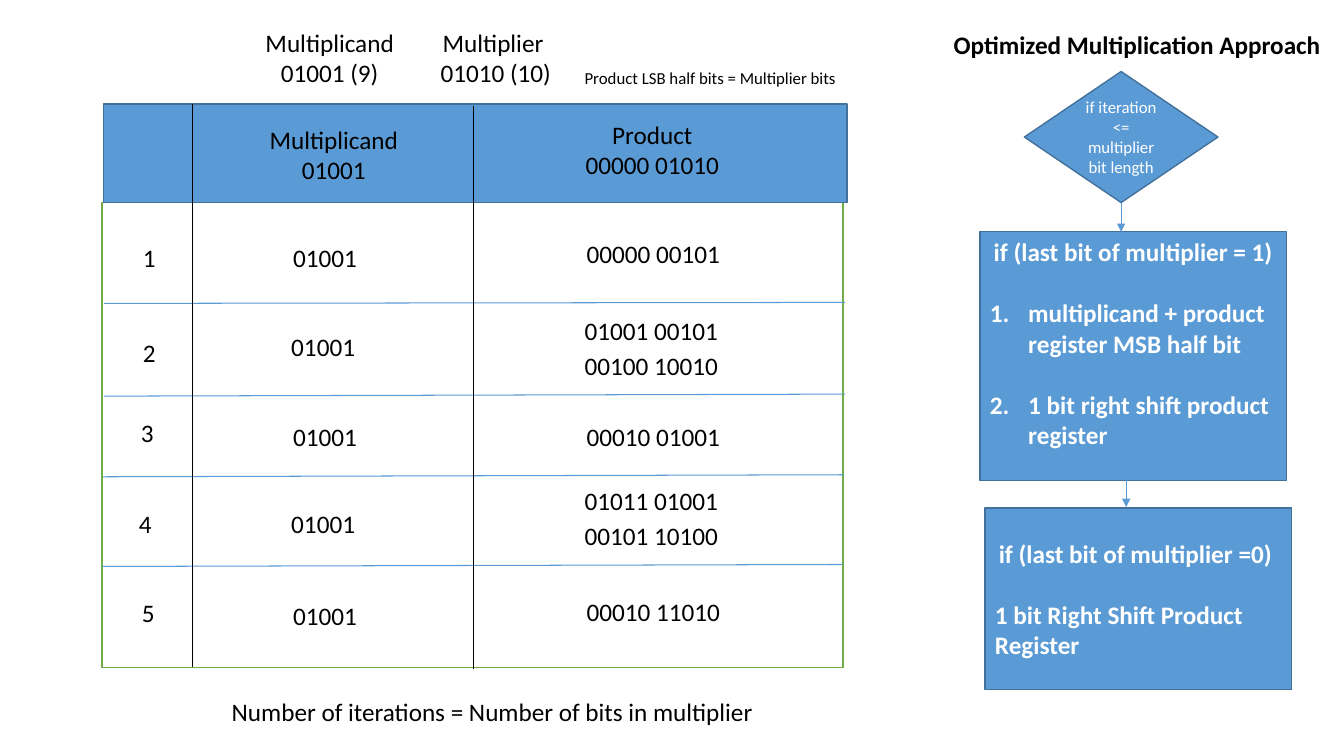
from lxml import etree
from pptx import Presentation
from pptx.dml.color import RGBColor
from pptx.enum.shapes import MSO_CONNECTOR, MSO_SHAPE
from pptx.enum.text import MSO_ANCHOR, PP_ALIGN
from pptx.oxml.ns import qn
from pptx.util import Inches, Pt

BLUE, EDGE, GREEN, BLACK, WHITE = "5B9BD5", "42719B", "70AD47", "000000", "FFFFFF"
LEFT, CENTER = PP_ALIGN.LEFT, PP_ALIGN.CENTER
rgb = RGBColor.from_string

prs = Presentation()
prs.slide_width, prs.slide_height = Inches(13.33), Inches(7.5)
s = prs.slides.add_slide(prs.slide_layouts[6])


def write(tf, lines, size=18, color=BLACK, bold=False):
    """Fill a text frame with (text, alignment) paragraphs."""
    tf.word_wrap = True
    for i, (text, align) in enumerate(lines):
        p = tf.paragraphs[0] if i == 0 else tf.add_paragraph()
        p.alignment = align
        r = p.add_run()
        r.text = text
        r.font.name, r.font.size, r.font.bold = "Calibri", Pt(size), bold
        r.font.color.rgb = rgb(color)


def add_line(x1, y1, x2, y2, color=BLUE, arrow=False):
    c = s.shapes.add_connector(MSO_CONNECTOR.STRAIGHT, Inches(x1), Inches(y1), Inches(x2), Inches(y2))
    c.line.color.rgb = rgb(color)
    c.line.width = Pt(0.75)
    if arrow:
        etree.SubElement(c.line._get_or_add_ln(), qn("a:tailEnd"), type="triangle")
    etree.SubElement(c._element.spPr, qn("a:effectLst"))


# Table frame, table header and flowchart shapes
shapes = []
for kind, x, y, w, h, fill, edge in [
    (MSO_SHAPE.RECTANGLE, 1.01, 2.01, 7.35, 4.61, WHITE, GREEN),
    (MSO_SHAPE.RECTANGLE, 1.03, 1.03, 7.37, 0.98, BLUE, EDGE),
    (MSO_SHAPE.DIAMOND, 10.16, 0.71, 1.92, 1.3, BLUE, EDGE),
    (MSO_SHAPE.RECTANGLE, 9.72, 2.3, 3.04, 2.47, BLUE, EDGE),
    (MSO_SHAPE.RECTANGLE, 9.77, 5.04, 3.04, 1.8, BLUE, EDGE),
]:
    sp = s.shapes.add_shape(kind, Inches(x), Inches(y), Inches(w), Inches(h))
    sp.shadow.inherit = False
    sp.fill.solid()
    sp.fill.fore_color.rgb = rgb(fill)
    sp.line.color.rgb = rgb(edge)
    sp.line.width = Pt(1)
    sp.text_frame.vertical_anchor = MSO_ANCHOR.MIDDLE
    shapes.append(sp)
diamond, one_box, zero_box = shapes[2:]

# Flowchart text
write(diamond.text_frame, [("if iteration <= multiplier bit length", CENTER)], 12, WHITE)
write(one_box.text_frame, [
    ("if (last bit of multiplier = 1)", CENTER),
    ("multiplicand + product register MSB half bit", LEFT),
    ("1 bit right shift product register", LEFT),
], color=WHITE, bold=True)
write(zero_box.text_frame, [
    ("if (last bit of multiplier =0) ", CENTER),
    ("1 bit Right Shift Product Register", LEFT),
], color=WHITE, bold=True)
one_box.text_frame.vertical_anchor = MSO_ANCHOR.TOP
for p in one_box.text_frame.paragraphs[1:]:
    p.space_before = Pt(22)
    pPr = p._p.get_or_add_pPr()
    pPr.set("marL", str(Inches(0.38)))
    pPr.set("indent", str(-Inches(0.38)))
    etree.SubElement(pPr, qn("a:buFont"), typeface="+mj-lt")
    etree.SubElement(pPr, qn("a:buAutoNum"), type="arabicPeriod")
zero_box.text_frame.paragraphs[1].space_before = Pt(22)

# Row rules, column rules and flow arrows
for x, y1, y2 in [(1.03, 3.01, 3), (1.03, 3.93, 3.91), (1.02, 4.73, 4.71), (1.01, 5.62, 5.6)]:
    add_line(x, y1, x + 7.35, y2)
for x, y in [(1.91, 1.03), (4.7, 1.05)]:
    add_line(x, y, x, y + 5.59, BLACK)
for x, y in [(11.12, 2.01), (11.17, 4.74)]:
    add_line(x, y, x, y + 0.29, arrow=True)

# Centred two-line headings
labels = [
    (x, y, 1.62, 0.71, [(top, CENTER), (bottom, CENTER)], 18, False)
    for x, y, top, bottom in [
        (2.46, 0.22, "Multiplicand", "01001 (9)"),
        (4.08, 0.22, "Multiplier", " 01010 (10)"),
        (2.5, 1.18, "Multiplicand", "01001"),
        (5.66, 1.13, "Product", "00000 01010"),
    ]
]

# Single-line captions
labels += [
    (5.7, 0.62, 3.14, 0.3, [("Product LSB half bits = Multiplier bits", LEFT)], 12, False),
    (2.2, 6.86, 5.4, 0.4, [("Number of iterations = Number of bits in multiplier", LEFT)], 18, False),
    (9.36, 0.24, 3.95, 0.4, [("Optimized Multiplication Approach", LEFT)], 18, True),
]

# Iterations: number position, multiplicand position, product values with their tops
iterations = [
    (1.32, 2.36, 2.81, 2.35, 5.72, [(2.32, "00000 00101")]),
    (1.32, 3.3, 2.79, 3.24, 5.7, [(3.08, "01001 00101"), (3.43, "00100 10010")]),
    (1.3, 4.09, 2.81, 4.13, 5.72, [(4.13, "00010 01001")]),
    (1.28, 4.99, 2.79, 4.99, 5.7, [(4.77, "01011 01001"), (5.11, "00101 10100")]),
    (1.31, 5.88, 2.81, 5.91, 5.72, [(5.87, "00010 11010")]),
]
for n, (nx, ny, mx, my, px, products) in enumerate(iterations, 1):
    labels.append((nx, ny, 0.5, 0.4, [(str(n), LEFT)], 18, False))
    labels.append((mx, my, 1.62, 0.4, [("01001", LEFT)], 18, False))
    for py, value in products:
        labels.append((px, py, 1.62, 0.4, [(value, LEFT)], 18, False))

for x, y, w, h, lines, size, bold in labels:
    tb = s.shapes.add_textbox(Inches(x), Inches(y), Inches(w), Inches(h))
    write(tb.text_frame, lines, size, bold=bold)

prs.save("out.pptx")
